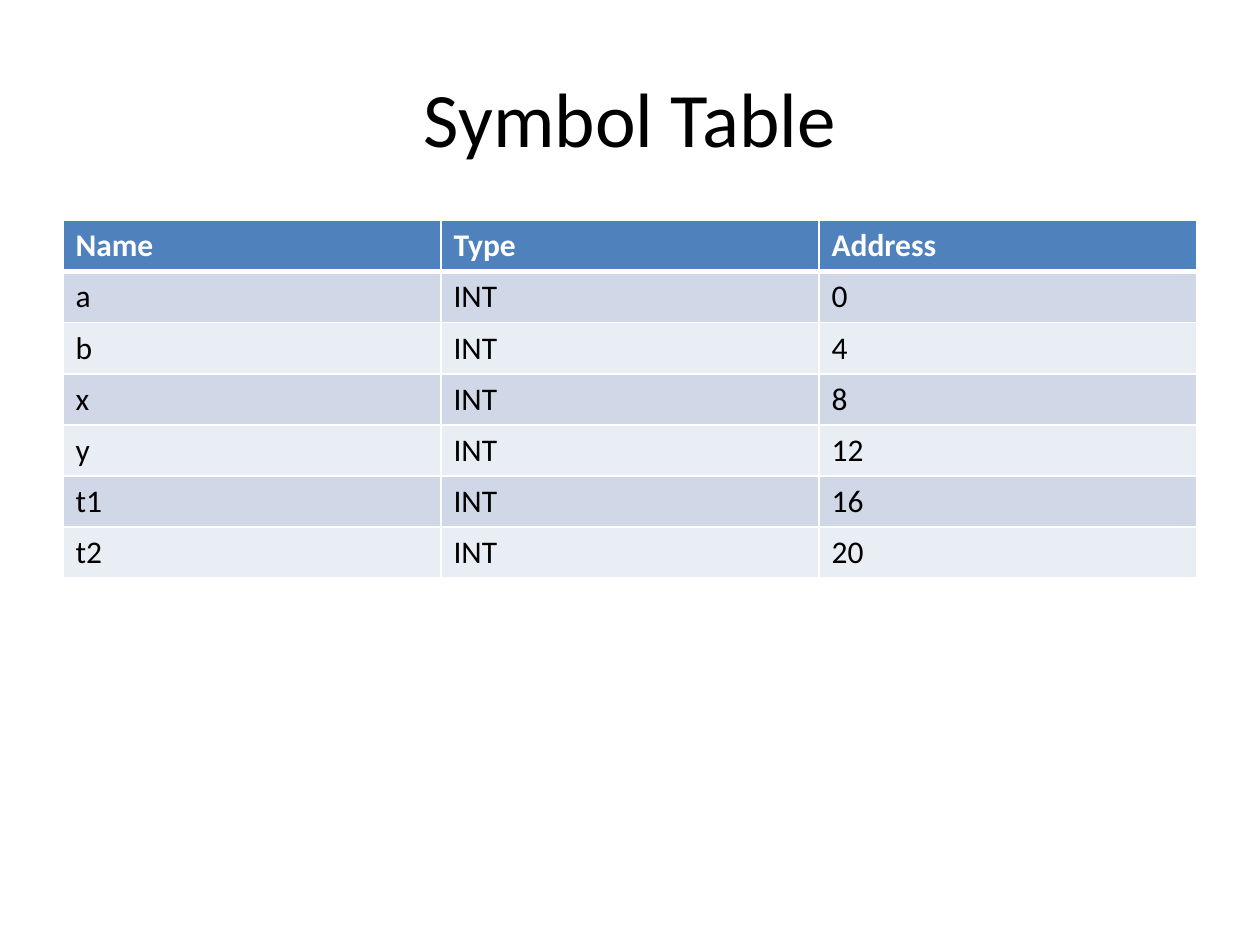
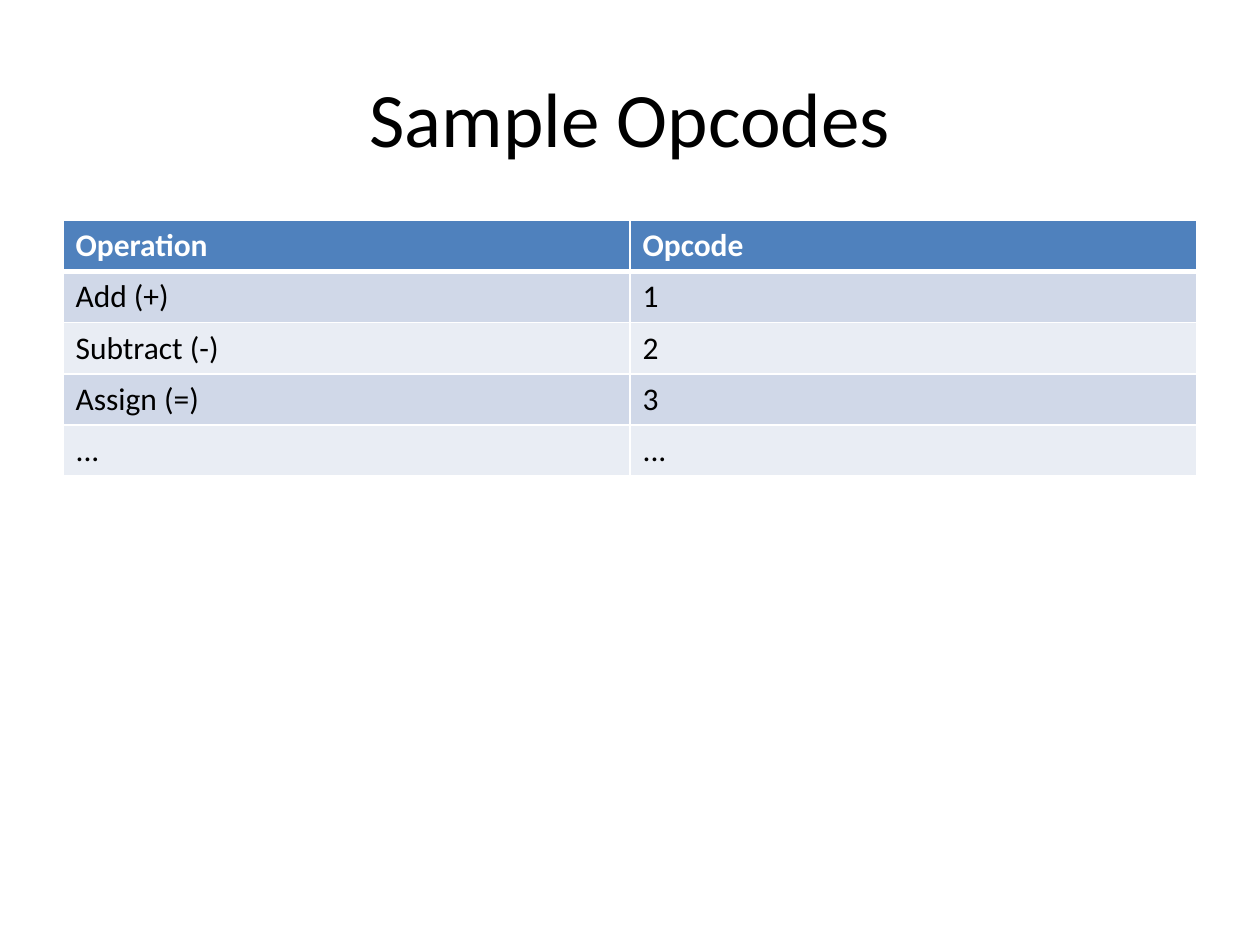
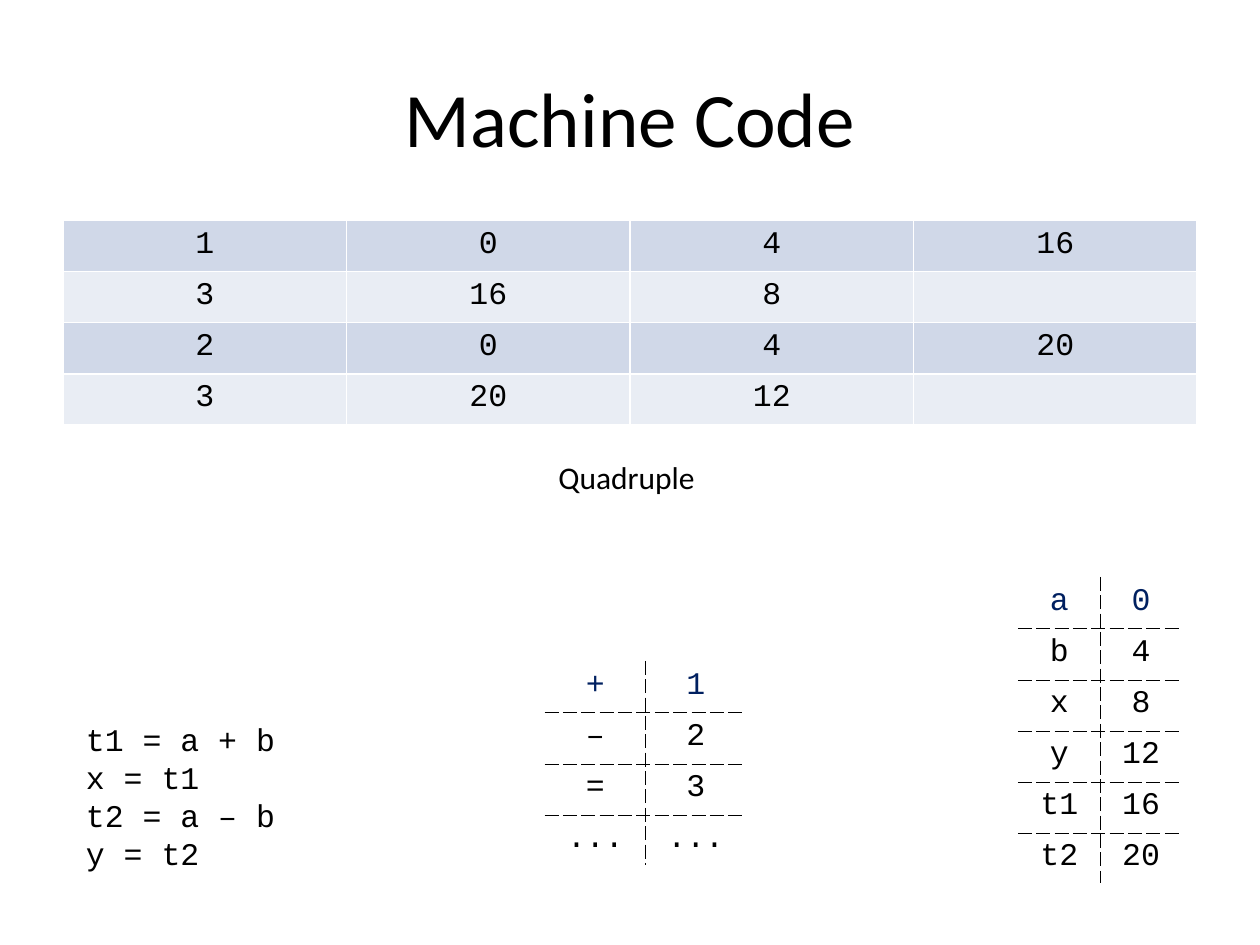
from dataclasses import dataclass

from lxml import etree
from pptx import Presentation
from pptx.dml.color import RGBColor
from pptx.enum import text
from pptx.oxml import ns
from pptx.util import Pt

BLACK = RGBColor(0x00, 0x00, 0x00)
WHITE = RGBColor(0xFF, 0xFF, 0xFF)
NAVY = RGBColor(0x00, 0x20, 0x60)
HEADER_BLUE = RGBColor(0x4F, 0x81, 0xBD)
BANDS = (RGBColor(0xD0, 0xD8, 0xE8), RGBColor(0xE9, 0xED, 0xF4))

SANS = "Calibri"
MONO = "Courier New"
BODY_SIZE = 18
TITLE_SIZE = 44
ROW_HEIGHT = 29.2
MARGIN = 36
CONTENT_WIDTH = 648
TABLE_TOP = 126
TITLE_ONLY = 5


@dataclass(frozen=True)
class Rule:
    color: RGBColor
    width: float
    dash: str = "solid"


THIN = Rule(WHITE, 1)
THICK = Rule(WHITE, 3)
DASHED = Rule(BLACK, 0.25, "sysDash")


@dataclass(frozen=True)
class Grid:
    rows: list[tuple[str, ...]]
    left: float = MARGIN
    top: float = TABLE_TOP
    width: float = CONTENT_WIDTH
    font: str = SANS
    align: text.PP_ALIGN = text.PP_ALIGN.LEFT
    has_header: bool = False
    is_key: bool = False


@dataclass(frozen=True)
class Note:
    lines: list[str]
    left: float
    top: float
    width: float
    height: float
    font: str


SYMBOLS = [("a", "0"), ("b", "4"), ("x", "8"), ("y", "12"), ("t1", "16"), ("t2", "20")]
SYMBOL_TABLE = Grid(
    [("Name", "Type", "Address")] + [(name, "INT", address) for name, address in SYMBOLS],
    has_header=True,
)
OPCODES = Grid(
    [
        ("Operation", "Opcode"),
        ("Add (+)", "1"),
        ("Subtract (-)", "2"),
        ("Assign (=)", "3"),
        ("...", "..."),
    ],
    has_header=True,
)
QUADRUPLES = Grid(
    [("1", "0", "4", "16"), ("3", "16", "8", ""), ("2", "0", "4", "20"), ("3", "20", "12", "")],
    font=MONO,
    align=text.PP_ALIGN.CENTER,
)
ADDRESS_KEY = Grid(
    SYMBOLS, 582, 330, 93.4, MONO, text.PP_ALIGN.CENTER, is_key=True
)
OPCODE_KEY = Grid(
    [("+", "1"), ("–", "2"), ("=", "3"), ("...", "...")],
    311.6, 378, 114.6, MONO, text.PP_ALIGN.CENTER, is_key=True,
)
QUADRUPLE_LABEL = Note(["Quadruple"], 312, 258, 93.6, 29, SANS)
SOURCE_CODE = Note(
    ["t1 = a + b", "x = t1", "t2 = a – b", "y = t2"], 42, 408, 123, 94.5, MONO
)


def add_span(para, words: str, font: str, size: float, color: RGBColor, bold: bool = False) -> None:
    span = para.add_run()
    span.text = words
    span.font.name = font
    span.font.size = Pt(size)
    span.font.color.rgb = color
    span.font.bold = bold


def add_titled_page(deck, title: str):
    page = deck.slides.add_slide(deck.slide_layouts[TITLE_ONLY])
    box = page.shapes.title
    box.left, box.top, box.width, box.height = Pt(MARGIN), Pt(21.6), Pt(CONTENT_WIDTH), Pt(90)
    box.text_frame.vertical_anchor = text.MSO_ANCHOR.MIDDLE
    para = box.text_frame.paragraphs[0]
    para.alignment = text.PP_ALIGN.CENTER
    add_span(para, title, SANS, TITLE_SIZE, BLACK)
    return page


def add_note(page, note: Note) -> None:
    box = page.shapes.add_textbox(Pt(note.left), Pt(note.top), Pt(note.width), Pt(note.height))
    frame = box.text_frame
    frame.word_wrap = False
    frame.auto_size = text.MSO_AUTO_SIZE.SHAPE_TO_FIT_TEXT
    for index, line in enumerate(note.lines):
        para = frame.add_paragraph() if index else frame.paragraphs[0]
        add_span(para, line, note.font, BODY_SIZE, BLACK)


def draw_border(cell, side: str, rule: Rule) -> None:
    properties = cell._tc.get_or_add_tcPr()
    line = etree.SubElement(properties, ns.qn(f"a:ln{side}"), w=str(Pt(rule.width)))
    fill = etree.SubElement(line, ns.qn("a:solidFill"))
    etree.SubElement(fill, ns.qn("a:srgbClr"), val=str(rule.color))
    etree.SubElement(line, ns.qn("a:prstDash"), val=rule.dash)


def cell_rules(grid: Grid, row: int, column: int) -> dict[str, Rule]:
    inner = DASHED if grid.is_key else THIN
    rules = {
        "L": inner if column else THIN,
        "R": inner if column < len(grid.rows[0]) - 1 else THIN,
        "T": inner if row else THIN,
        "B": inner if row < len(grid.rows) - 1 else THIN,
    }
    if grid.has_header and row < 2:
        rules["T" if row else "B"] = THICK
    return rules


def add_grid(page, grid: Grid) -> None:
    row_count, column_count = len(grid.rows), len(grid.rows[0])
    table = page.shapes.add_table(
        row_count, column_count, Pt(grid.left), Pt(grid.top),
        Pt(grid.width), Pt(ROW_HEIGHT * row_count),
    ).table
    table.first_row = grid.has_header
    table.horz_banding = not grid.is_key
    for column in table.columns:
        column.width = Pt(grid.width / column_count)
    for row_index, words_in_row in enumerate(grid.rows):
        table.rows[row_index].height = Pt(ROW_HEIGHT)
        is_header = grid.has_header and row_index == 0
        color = WHITE if is_header else NAVY if grid.is_key and row_index == 0 else BLACK
        for column_index, words in enumerate(words_in_row):
            cell = table.cell(row_index, column_index)
            for side, rule in cell_rules(grid, row_index, column_index).items():
                draw_border(cell, side, rule)
            if grid.is_key:
                cell.fill.background()
            else:
                cell.fill.solid()
                band = BANDS[(row_index - grid.has_header) % 2]
                cell.fill.fore_color.rgb = HEADER_BLUE if is_header else band
            para = cell.text_frame.paragraphs[0]
            para.alignment = grid.align
            if words:
                add_span(para, words, grid.font, BODY_SIZE, color, is_header)


def main() -> None:
    deck = Presentation()
    deck.slide_width, deck.slide_height = Pt(720), Pt(540)
    add_grid(add_titled_page(deck, "Symbol Table"), SYMBOL_TABLE)
    add_grid(add_titled_page(deck, "Sample Opcodes"), OPCODES)
    page = add_titled_page(deck, "Machine Code")
    add_grid(page, QUADRUPLES)
    for note in (QUADRUPLE_LABEL, SOURCE_CODE):
        add_note(page, note)
    for key in (ADDRESS_KEY, OPCODE_KEY):
        add_grid(page, key)
    deck.save("out.pptx")


if __name__ == "__main__":
    main()
